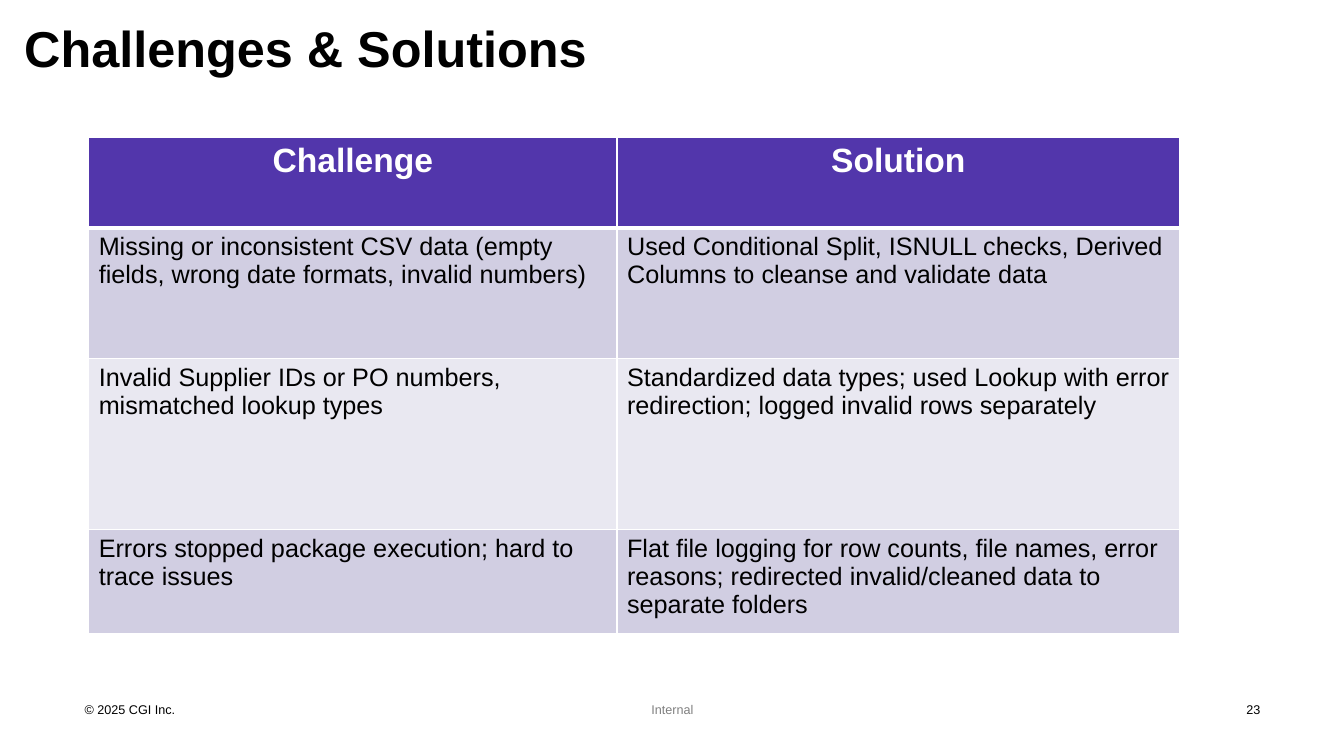
from dataclasses import dataclass

from lxml import etree
from pptx import Presentation
from pptx.dml.color import RGBColor
from pptx.enum.text import MSO_ANCHOR, MSO_AUTO_SIZE, PP_ALIGN
from pptx.oxml.ns import qn
from pptx.slide import Slide
from pptx.table import _Cell
from pptx.text.text import TextFrame
from pptx.util import Inches, Pt

LEFT, CENTER, RIGHT = PP_ALIGN.LEFT, PP_ALIGN.CENTER, PP_ALIGN.RIGHT
TOP = MSO_ANCHOR.TOP
NO_AUTOFIT = MSO_AUTO_SIZE.NONE
TITLE_ONLY_LAYOUT = 5


@dataclass(frozen=True)
class Theme:
    font: str = "Arial"
    black: str = "000000"
    white: str = "FFFFFF"
    grey: str = "808080"
    header_fill: str = "5236AB"
    bands: tuple[str, str] = ("D1CEE2", "E9E8F1")
    title_size: int = 36
    header_size: int = 24
    body_size: int = 18
    footer_size: int = 9
    border: int = 1
    header_border: int = 3


THEME = Theme()


@dataclass(frozen=True)
class FooterItem:
    text: str
    left: float
    width: float
    align: PP_ALIGN = LEFT
    color: str = THEME.black


@dataclass(frozen=True)
class TableRow:
    challenge: str
    solution: str
    height: float


FOOTER = (
    FooterItem("© 2025 CGI Inc.", 0.84, 3),
    FooterItem("Internal", 6.46, 0.45, color=THEME.grey),
    FooterItem("23", 12.21, 0.29, RIGHT),
)

COLUMN_WIDTHS = (5.24, 5.58)
ROWS = (
    TableRow("Challenge", "Solution", 0.9),
    TableRow(
        "Missing or inconsistent CSV data (empty fields, wrong date formats, invalid numbers)",
        "Used Conditional Split, ISNULL checks, Derived Columns to cleanse and validate data",
        1.3,
    ),
    TableRow(
        "Invalid Supplier IDs or PO numbers, mismatched lookup types",
        "Standardized data types; used Lookup with error redirection; logged invalid rows separately",
        1.69,
    ),
    TableRow(
        "Errors stopped package execution; hard to trace issues",
        "Flat file logging for row counts, file names, error reasons; "
        "redirected invalid/cleaned data to separate folders",
        1.04,
    ),
)


def write_text(frame: TextFrame, text: str, size: int, color: str,
               align: PP_ALIGN = LEFT, bold: bool = False) -> None:
    frame.text = text
    paragraph = frame.paragraphs[0]
    paragraph.alignment = align
    font = paragraph.font
    font.name, font.size, font.bold = THEME.font, Pt(size), bold
    font.color.rgb = RGBColor.from_string(color)


def remove_insets(frame: TextFrame) -> None:
    frame.margin_left = frame.margin_right = frame.margin_top = frame.margin_bottom = 0
    frame.vertical_anchor = TOP
    frame.word_wrap = True
    frame.auto_size = NO_AUTOFIT


def set_borders(cell: _Cell, top: int, bottom: int) -> None:
    """Draw white cell borders; widths are in points."""
    properties = cell._tc.get_or_add_tcPr()
    widths = {"a:lnL": THEME.border, "a:lnR": THEME.border, "a:lnT": top, "a:lnB": bottom}
    for tag, width in widths.items():
        line = etree.SubElement(properties, qn(tag), w=str(Pt(width)))
        fill = etree.SubElement(line, qn("a:solidFill"))
        etree.SubElement(fill, qn("a:srgbClr"), val=THEME.white)


def add_title(slide: Slide, text: str) -> None:
    title = slide.shapes.title
    title.left, title.top = Inches(0.24), Inches(0.17)
    title.width, title.height = Inches(7.46), Inches(1.19)
    remove_insets(title.text_frame)
    write_text(title.text_frame, text, THEME.title_size, THEME.black, bold=True)


def add_footer_item(slide: Slide, item: FooterItem) -> None:
    box = slide.shapes.add_textbox(
        Inches(item.left), Inches(6.96), Inches(item.width), Inches(0.15))
    remove_insets(box.text_frame)
    write_text(box.text_frame, item.text, THEME.footer_size, item.color, item.align)


def add_challenge_table(slide: Slide) -> None:
    table = slide.shapes.add_table(
        len(ROWS), len(COLUMN_WIDTHS), Inches(0.88), Inches(1.36),
        Inches(sum(COLUMN_WIDTHS)), Inches(sum(row.height for row in ROWS))).table
    table.horz_banding = False
    for column, width in zip(table.columns, COLUMN_WIDTHS):
        column.width = Inches(width)
    for index, row in enumerate(ROWS):
        table.rows[index].height = Inches(row.height)
        is_header = index == 0
        top = THEME.header_border if index == 1 else THEME.border
        bottom = THEME.header_border if is_header else THEME.border
        fill = THEME.header_fill if is_header else THEME.bands[(index - 1) % 2]
        for cell, text in zip(table.rows[index].cells, (row.challenge, row.solution)):
            set_borders(cell, top, bottom)
            cell.fill.solid()
            cell.fill.fore_color.rgb = RGBColor.from_string(fill)
            if is_header:
                write_text(cell.text_frame, text, THEME.header_size, THEME.white, CENTER, True)
            else:
                write_text(cell.text_frame, text, THEME.body_size, THEME.black)


def main() -> None:
    presentation = Presentation()
    presentation.slide_width, presentation.slide_height = Inches(13.33), Inches(7.5)
    slide = presentation.slides.add_slide(presentation.slide_layouts[TITLE_ONLY_LAYOUT])
    add_title(slide, "Challenges & Solutions")
    add_challenge_table(slide)
    for item in FOOTER:
        add_footer_item(slide, item)
    presentation.save("out.pptx")


if __name__ == "__main__":
    main()
